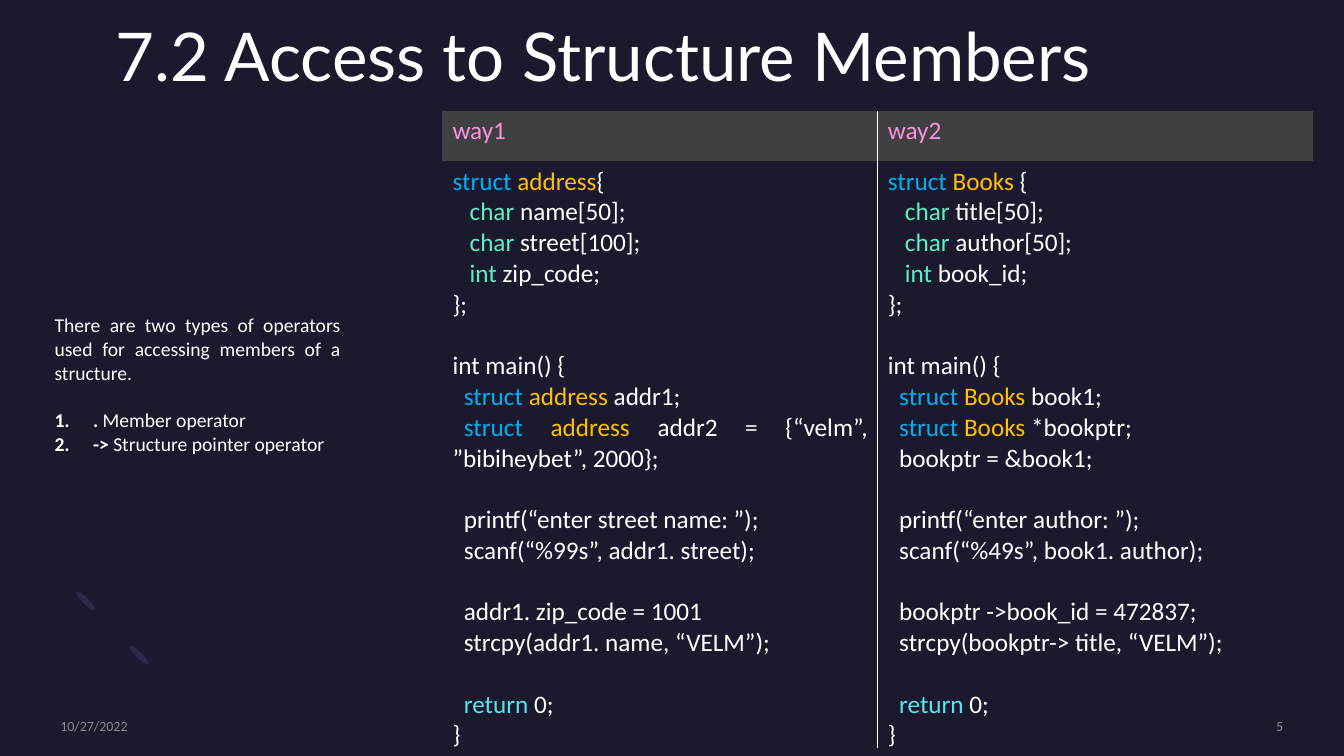
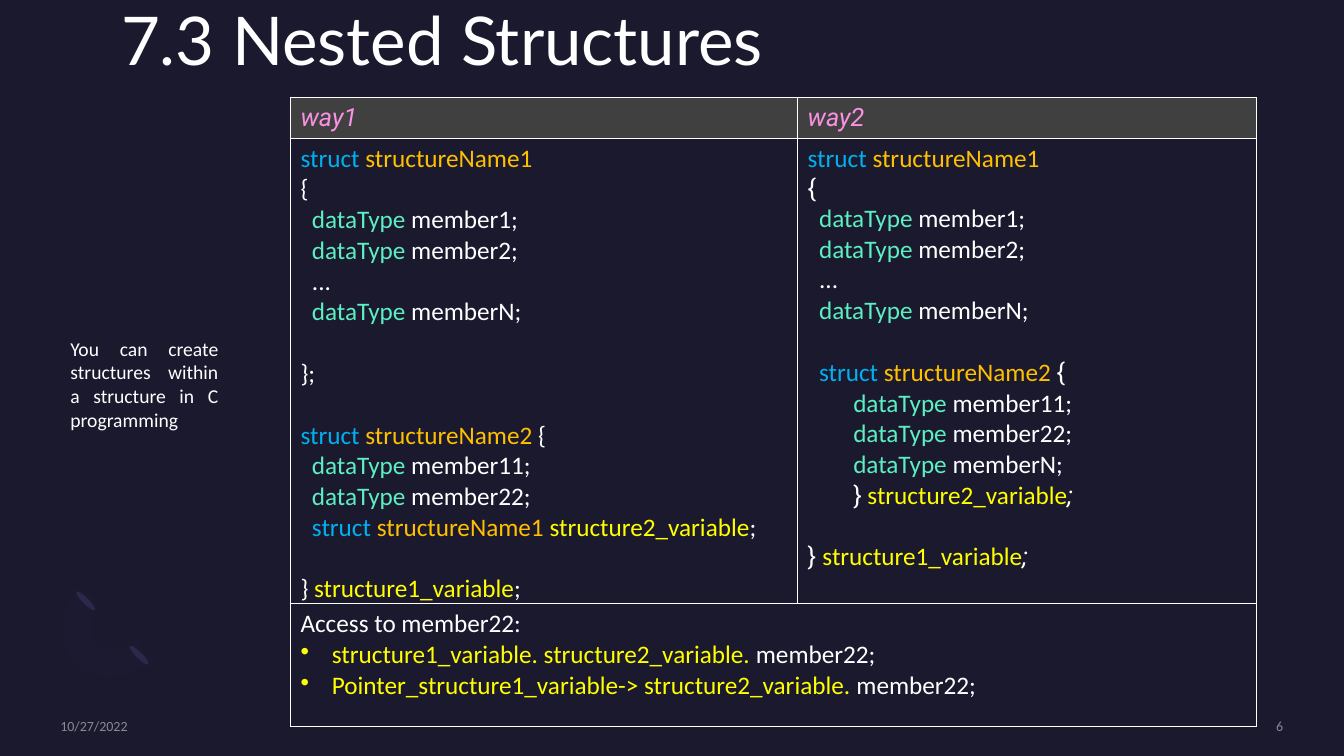
import pptx
import pptx.dml.color
import pptx.enum.shapes
import pptx.enum.text
import pptx.oxml
import pptx.oxml.ns
import pptx.util

Cm, Pt = pptx.util.Cm, pptx.util.Pt
ALIGN = pptx.enum.text.PP_ALIGN
ANCHOR = pptx.enum.text.MSO_ANCHOR
NS = pptx.oxml.ns.nsdecls("a")

# Shared look
BACKGROUND, WHITE, HEADER_FILL = "1B192E", "FFFFFF", "404040"
BLUE, GOLD, GREEN, YELLOW = "00B0F0", "FFC000", "5BEFC1", "FFFF00"
SPACE_WIDTH, LINE_HEIGHT = 4.07, 22 / 18  # points per code space, line per point
TITLE = {"name": "Lato", "size": Pt(48), "color": WHITE}
NOTE = {"name": "Calibri", "size": Pt(14), "color": WHITE}
CODE = {"name": "Calibri", "size": Pt(18), "color": WHITE}
FOOTER = {"name": "Calibri", "size": Pt(10), "color": "8A8990"}
HEADER = {**CODE, "color": "FA91E3"}
NO_INSETS = {"margin_left": 0, "margin_right": 0, "margin_top": 0, "margin_bottom": 0}

# Format of each marked piece of text
PIECES = {".": {"bold": True}, "->": {"bold": True}, "return": {"color": "5AE3EF"}}
for color, words in {
    BLUE: ["struct"],
    GOLD: ["address", "Books", "structureName1", "structureName2"],
    GREEN: ["char", "int", "dataType"],
    YELLOW: ["structure1_variable", "structure2_variable",
             "structure1_variable. structure2_variable.",
             "Pointer_structure1_variable-> structure2_variable."],
}.items():
    PIECES.update({word: {"color": color} for word in words})
ROBOTO_SYMBOLS = {
    "{": {"name": "Roboto"},
    "}": {"name": "Roboto"},
    ";": {"name": "Roboto", "italic": True},
}


def rgb(hex_color):
    return pptx.dml.color.RGBColor.from_string(hex_color)


def write(frame, text, base, align=ALIGN.JUSTIFY, symbols=None, spacing=1.0):
    """Write lines; | parts the pieces, * and # start bullets and numbers."""
    styles = {**PIECES, **(symbols or {})}
    frame.word_wrap = True
    gap, first = 0, True
    for line in text.strip("\n").split("\n"):
        if not line:
            gap += base["size"].pt * LINE_HEIGHT
            continue
        paragraph = frame.paragraphs[0] if first else frame.add_paragraph()
        paragraph.alignment, paragraph.line_spacing = align, spacing
        paragraph.space_before = Pt(gap)
        gap, first = 0, False
        content = line.lstrip()
        left, indent = 0, Pt((len(line) - len(content)) * SPACE_WIDTH)
        bullet = "<a:buNone %s/>"
        if content[0] in "*#":
            left = Cm(0.79) if content[0] == "*" else Cm(0.97)
            indent = -left
            bullet = ('<a:buChar %s char="•"/>' if content[0] == "*"
                      else '<a:buAutoNum %s type="arabicPeriod"/>')
            content = content[1:]
        properties = paragraph._p.get_or_add_pPr()
        properties.set("marL", str(left))
        properties.set("indent", str(indent))
        properties.append(pptx.oxml.parse_xml(bullet % NS))
        for piece in content.split("|"):
            run = paragraph.add_run()
            run.text = piece
            formats = {**base, **styles.get(piece.strip(), {})}
            run.font.color.rgb = rgb(formats.pop("color"))
            for attribute, value in formats.items():
                setattr(run.font, attribute, value)


# Content
MEMBER_WAY1 = """
struct |address|{
   char |name[50];
   char |street[100];
   int |zip_code;
};

int main() {
  struct |address |addr1;
  struct |address |addr2 = {“velm”, ”bibiheybet”, 2000};

  printf(“enter street name: ”);
  scanf(“%99s”, addr1. street);

  addr1. zip_code = 1001
  strcpy(addr1. name, “VELM”);

  return| 0;
}
"""
MEMBER_WAY2 = """
struct |Books |{
   char |title[50];
   char |author[50];
   int |book_id;
};

int main() {
  struct |Books |book1;
  struct |Books |*bookptr;
  bookptr = &book1;

  printf(“enter author: ”);
  scanf(“%49s”, book1. author);

  bookptr ->book_id = 472837;
  strcpy(bookptr-> title, “VELM”);

  return| 0;
}
"""
NESTED_WAY1 = """
struct |structureName1
{
  dataType| member1;
  dataType| member2;
  ...
  dataType |memberN;

};

struct |structureName2 |{
  dataType| member11;
  dataType| member22;
  struct |structureName1 |structure2_variable|;

} |structure1_variable|;
"""
NESTED_WAY2 = """
struct |structureName1
{
  dataType| member1;
  dataType| member2;
  ...
  dataType |memberN;

  struct |structureName2 |{
        dataType| member11;
        dataType| member22;
        dataType |memberN;
        }| structure2_variable|;

} |structure1_variable|;
"""
NESTED_ACCESS = """
Access to member22:
*structure1_variable. structure2_variable.| member22;
*Pointer_structure1_variable-> structure2_variable.| member22;
"""
OPERATORS = """
There are two types of operators used for accessing members of a structure.

#. |Member operator
#-> |Structure pointer operator
"""
SLIDES = [
    {
        "number": "5",
        "title": "7.2 Access to Structure Members", "title_at": (2.92, 0.58, 30.8, 3.71),
        "note": OPERATORS, "note_at": (1.12, 7.77, 7.72, 4.45),
        "table_at": (11.15, 2.79), "columns": [10.97, 10.97], "rows": [1.27, 14.73],
        "header": HEADER, "code": [MEMBER_WAY1, MEMBER_WAY2],
        "symbols": [None, None], "summary": None, "framed": False,
    },
    {
        "number": "6",
        "title": "7.3 Nested Structures", "title_at": (3.05, 0.18, 30.8, 3.76),
        "note": "You can create structures within a structure in C programming",
        "note_at": (1.52, 8.36, 4.24, 2.64),
        "table_at": (7.32, 2.46), "columns": [12.78, 11.56], "rows": [1.02, 11.66, 3.1],
        "header": {**HEADER, "name": "Roboto", "italic": True},
        "code": [NESTED_WAY1, NESTED_WAY2],
        "symbols": [None, ROBOTO_SYMBOLS], "summary": NESTED_ACCESS, "framed": True,
    },
]

# Corner ring: outer and inner arcs as cubic curves, in centimetres
RING_ARCS = [
    [(3.86, 16.61), (3.3, 17.17), (2.41, 17.25), (1.93, 16.74)],
    [(1.93, 16.74), (1.42, 16.23), (1.47, 15.37), (2.06, 14.78)],
    [(2.51, 15.24), (2.21, 15.52), (2.18, 15.98), (2.44, 16.21)],
    [(2.44, 16.21), (2.69, 16.46), (3.12, 16.43), (3.43, 16.15)],
]
STEPS = 8
ring_points = []
for a, b, c, d in RING_ARCS:
    for step in range(STEPS + 1):
        t = step / STEPS
        weights = ((1 - t) ** 3, 3 * t * (1 - t) ** 2, 3 * t * t * (1 - t), t ** 3)
        ring_points.append(tuple(
            Cm(sum(w * point[axis] for w, point in zip(weights, (a, b, c, d))))
            for axis in (0, 1)))

# Presentation
deck = pptx.Presentation()
deck.slide_width, deck.slide_height = Cm(33.87), Cm(19.05)
deck.slide_master.background.fill.solid()
deck.slide_master.background.fill.fore_color.rgb = rgb(BACKGROUND)

for content in SLIDES:
    slide = deck.slides.add_slide(deck.slide_layouts[1])
    shapes = slide.shapes

    # Corner ring
    builder = shapes.build_freeform(*ring_points[0], scale=1.0)
    builder.add_line_segments(ring_points[1:], close=True)
    ring = builder.convert_to_shape()
    ends = []
    for left, top in [(3.43, 16.18), (2.08, 14.81)]:
        end = shapes.add_shape(pptx.enum.shapes.MSO_SHAPE.OVAL,
                               Cm(left), Cm(top), Cm(0.15), Cm(0.66))
        end.rotation = 135
        ends.append(end)
    for part, color in zip([ring, *ends], ["7771B2", "2C284A", "2C284A"]):
        part.shadow.inherit = False
        part.fill.solid()
        part.fill.fore_color.rgb = rgb(color)
        part.line.fill.background()
    ring_color = ring.fill._xPr.find(".//" + pptx.oxml.ns.qn("a:srgbClr"))
    ring_color.append(pptx.oxml.parse_xml(f'<a:alpha {NS} val="2000"/>'))

    # Title and side note
    heading, note = shapes.title, slide.placeholders[1]
    for holder, box in [(heading, content["title_at"]), (note, content["note_at"])]:
        holder.left, holder.top, holder.width, holder.height = map(Cm, box)
        holder.text_frame.auto_size = pptx.enum.text.MSO_AUTO_SIZE.NONE
        holder.text_frame.vertical_anchor = ANCHOR.TOP
    for attribute, value in NO_INSETS.items():
        setattr(heading.text_frame, attribute, value)
    write(heading.text_frame, content["title"], TITLE, ALIGN.LEFT, spacing=0.9)
    write(note.text_frame, content["note"], NOTE)

    # Date and slide number
    for text, left, width, align in [("10/27/2022", 1.52, 7.32, ALIGN.LEFT),
                                     (content["number"], 27.64, 4.7, ALIGN.RIGHT)]:
        footer = shapes.add_textbox(Cm(left), Cm(18.08), Cm(width), Cm(0.43)).text_frame
        for attribute, value in {**NO_INSETS, "vertical_anchor": ANCHOR.MIDDLE}.items():
            setattr(footer, attribute, value)
        write(footer, text, FOOTER, align)

    # Code table
    columns, rows = content["columns"], content["rows"]
    table = shapes.add_table(len(rows), len(columns), *map(Cm, content["table_at"]),
                             Cm(sum(columns)), Cm(sum(rows))).table
    table.horz_banding = table.first_row = False
    for column, width in zip(table.columns, columns):
        column.width = Cm(width)
    for row, height in zip(table.rows, rows):
        row.height = Cm(height)
    for index, code in enumerate(content["code"]):
        write(table.cell(0, index).text_frame, f"way{index + 1}", content["header"])
        write(table.cell(1, index).text_frame, code, CODE,
              symbols=content["symbols"][index])
    if content["summary"]:
        table.cell(2, 0).merge(table.cell(2, 1))
        write(table.cell(2, 0).text_frame, content["summary"], CODE)

    # Cell fills and borders
    for row_index in range(len(rows)):
        for column_index in range(len(columns)):
            cell = table.cell(row_index, column_index)
            if row_index == 0:
                cell.fill.solid()
                cell.fill.fore_color.rgb = rgb(HEADER_FILL)
            else:
                cell.fill.background()
            divider = "R" if column_index == 0 else "L"
            for order, side in enumerate("LRTB"):
                shown = content["framed"] or side == divider
                paint = (f'<a:solidFill><a:srgbClr val="{WHITE}"/></a:solidFill>'
                         if shown else "<a:noFill/>")
                cell._tc.get_or_add_tcPr().insert(order, pptx.oxml.parse_xml(
                    f'<a:ln{side} {NS} w="{Pt(1)}">{paint}</a:ln{side}>'))

deck.save("out.pptx")
